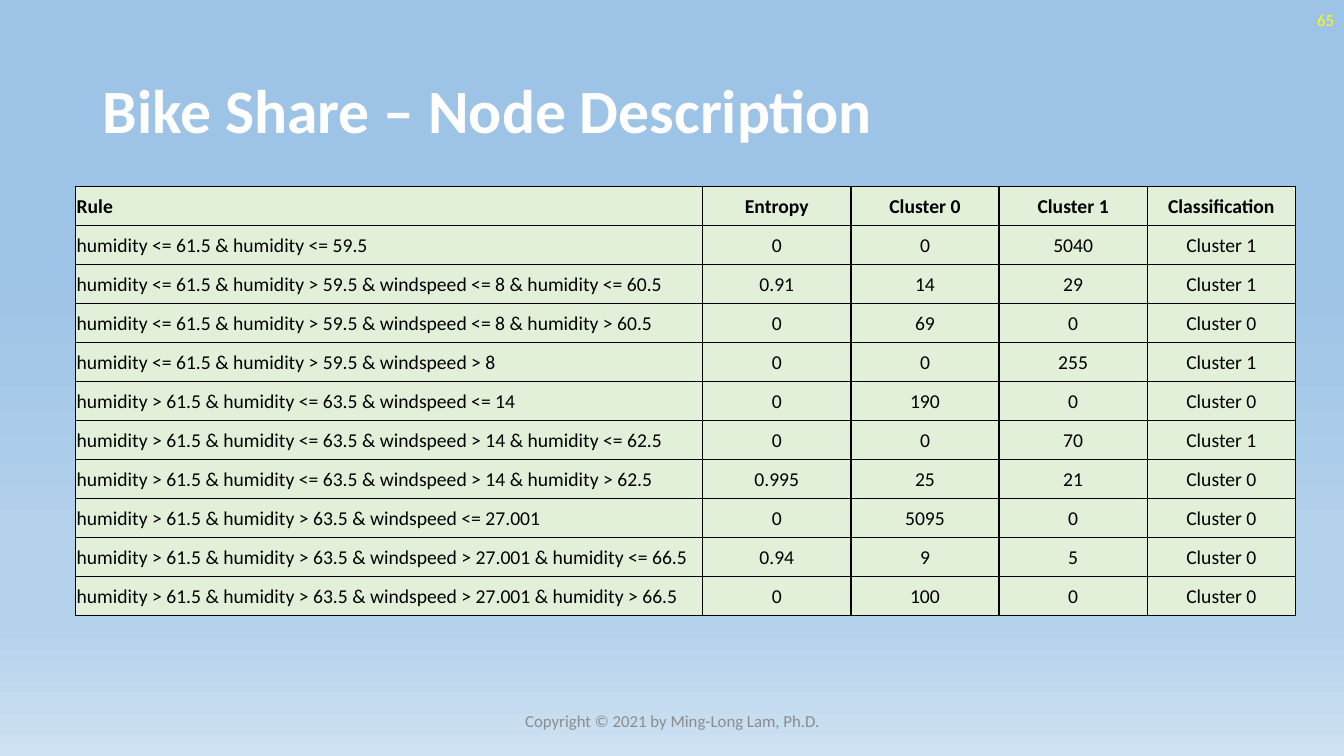
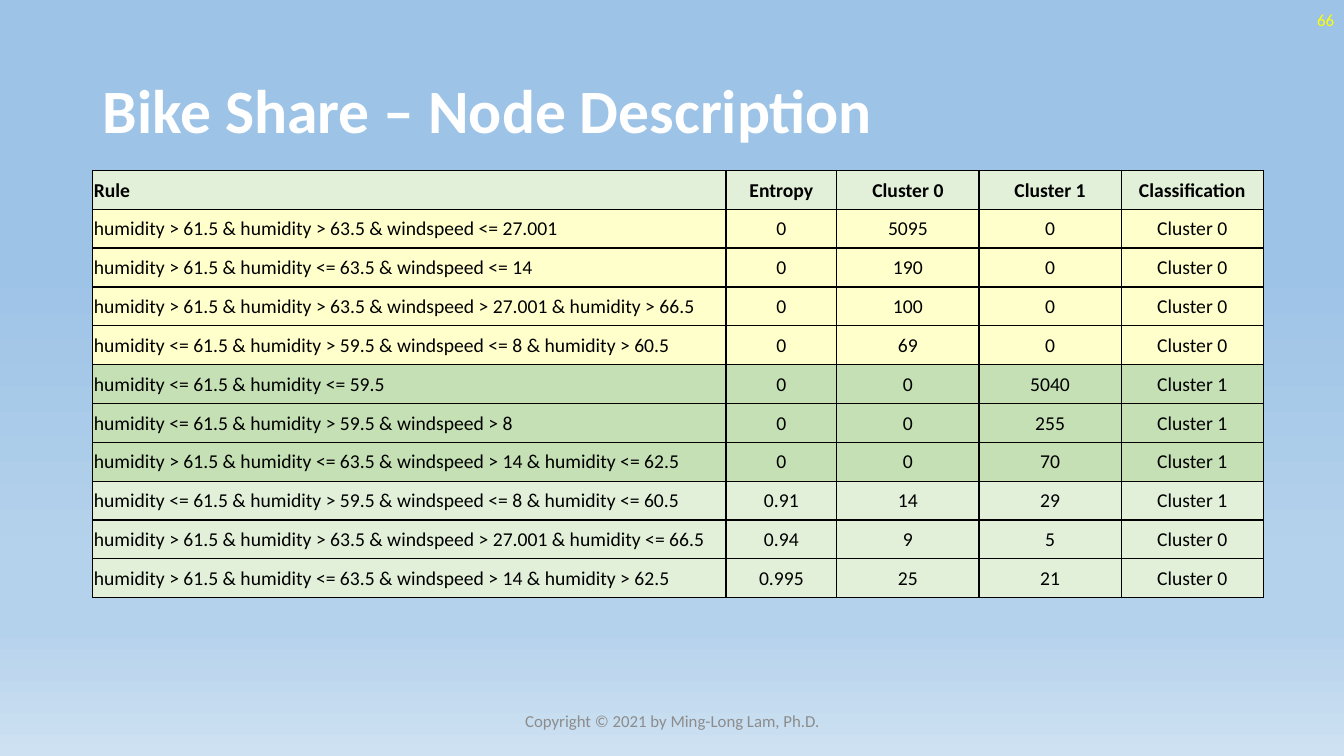
from pptx import Presentation
from pptx.dml.color import RGBColor
from pptx.enum.text import MSO_ANCHOR, PP_ALIGN
from pptx.oxml import parse_xml
from pptx.oxml.ns import nsdecls, qn
from pptx.util import Inches, Pt

LEFT, MID, RIGHT = PP_ALIGN.LEFT, PP_ALIGN.CENTER, PP_ALIGN.RIGHT
CENTER = MSO_ANCHOR.MIDDLE
FONT = "Calibri"
HEX = {
    "title": "FFFFFF", "foot": "8C8C8C", "page": "FFFF00", "text": "000000",
    "pale": "E2F0D9", "Cluster 0": "FFFFCC", "Cluster 1": "C5E0B4",
}
STOPS = [(35, "9DC3E6"), (74, "B5D2EC"), (83, "B5D2EC"), (100, "CEE1F2")]

HEAD = ("Rule", "Entropy", "Cluster 0", "Cluster 1", "Classification")
NODES = [
    ("humidity <= 61.5 & humidity <= 59.5", "0", "0", "5040", "Cluster 1"),
    ("humidity <= 61.5 & humidity > 59.5 & windspeed <= 8 & humidity <= 60.5", "0.91", "14", "29", "Cluster 1"),
    ("humidity <= 61.5 & humidity > 59.5 & windspeed <= 8 & humidity > 60.5", "0", "69", "0", "Cluster 0"),
    ("humidity <= 61.5 & humidity > 59.5 & windspeed > 8", "0", "0", "255", "Cluster 1"),
    ("humidity > 61.5 & humidity <= 63.5 & windspeed <= 14", "0", "190", "0", "Cluster 0"),
    ("humidity > 61.5 & humidity <= 63.5 & windspeed > 14 & humidity <= 62.5", "0", "0", "70", "Cluster 1"),
    ("humidity > 61.5 & humidity <= 63.5 & windspeed > 14 & humidity > 62.5", "0.995", "25", "21", "Cluster 0"),
    ("humidity > 61.5 & humidity > 63.5 & windspeed <= 27.001", "0", "5095", "0", "Cluster 0"),
    ("humidity > 61.5 & humidity > 63.5 & windspeed > 27.001 & humidity <= 66.5", "0.94", "9", "5", "Cluster 0"),
    ("humidity > 61.5 & humidity > 63.5 & windspeed > 27.001 & humidity > 66.5", "0", "100", "0", "Cluster 0"),
]
RANKED = sorted(NODES, key=lambda n: (float(n[1]), n[4], -max(int(n[2]), int(n[3]))))
PAGES = [
    ("65", NODES, False, (0.75, 1.85, 12.09, 4.26), (6.22, 1.47, 1.47, 1.47, 1.47)),
    ("66", RANKED, True, (0.92, 1.69, 11.61, 4.24), (6.28, 1.1, 1.41, 1.41, 1.41)),
]


def write(frame, text, size, color, align, bold=False):
    para = frame.paragraphs[0]
    para.alignment = align
    run = para.add_run()
    run.text = text
    run.font.name = FONT
    run.font.size = Pt(size)
    run.font.bold = bold
    run.font.color.rgb = RGBColor.from_string(color)
    return para


def border(cell):
    props = cell._tc.get_or_add_tcPr()
    for side in ("lnL", "lnR", "lnT", "lnB"):
        props.append(parse_xml(
            f'<a:{side} {nsdecls("a")} w="{Pt(1)}"><a:solidFill>'
            f'<a:srgbClr val="{HEX["text"]}"/></a:solidFill></a:{side}>'))


prs = Presentation()
prs.slide_width, prs.slide_height = Inches(13.33), Inches(7.5)

master = prs.slide_master
back = master.background.fill
back.gradient()
back.gradient_angle = 270
stops = master.element.find(".//" + qn("a:gsLst"))
for old in list(stops):
    stops.remove(old)
for spot, color in STOPS:
    stops.append(parse_xml(
        f'<a:gs {nsdecls("a")} pos="{spot * 1000}"><a:srgbClr val="{color}"/></a:gs>'))

for page, nodes, tinted, area, widths in PAGES:
    slide = prs.slides.add_slide(prs.slide_layouts[5])

    title = slide.shapes.title
    title.left, title.top = Inches(0.92), Inches(0.4)
    title.width, title.height = Inches(11.5), Inches(1.45)
    title.text_frame.vertical_anchor = CENTER
    para = write(title.text_frame, "Bike Share – Node Description", 44, HEX["title"], LEFT, True)
    para.line_spacing = 0.9

    rows = [HEAD] + nodes
    table = slide.shapes.add_table(len(rows), len(HEAD), *map(Inches, area)).table
    table.first_row = table.horz_banding = False
    for col, width in zip(table.columns, widths):
        col.width = Inches(width)
    for r, row in enumerate(rows):
        table.rows[r].height = Inches(area[3] / len(rows))
        pure = tinted and row[1] == "0"
        fill = HEX[row[4]] if pure else HEX["pale"]
        for c, text in enumerate(row):
            cell = table.cell(r, c)
            cell.margin_left = cell.margin_right = cell.margin_top = Inches(0.01)
            cell.margin_bottom = 0
            cell.vertical_anchor = CENTER
            border(cell)
            cell.fill.solid()
            cell.fill.fore_color.rgb = RGBColor.from_string(fill)
            write(cell.text_frame, text, 14, HEX["text"], MID if c else LEFT, r == 0)

    for text, left, top, width, color, align in (
        ("Copyright © 2021 by Ming-Long Lam, Ph.D.", 4.42, 6.95, 4.5, HEX["foot"], MID),
        (page, 10.33, 0, 3, HEX["page"], RIGHT),
    ):
        box = slide.shapes.add_textbox(Inches(left), Inches(top), Inches(width), Inches(0.4))
        box.text_frame.word_wrap = True
        box.text_frame.vertical_anchor = CENTER
        write(box.text_frame, text, 12, color, align)

prs.save("out.pptx")
